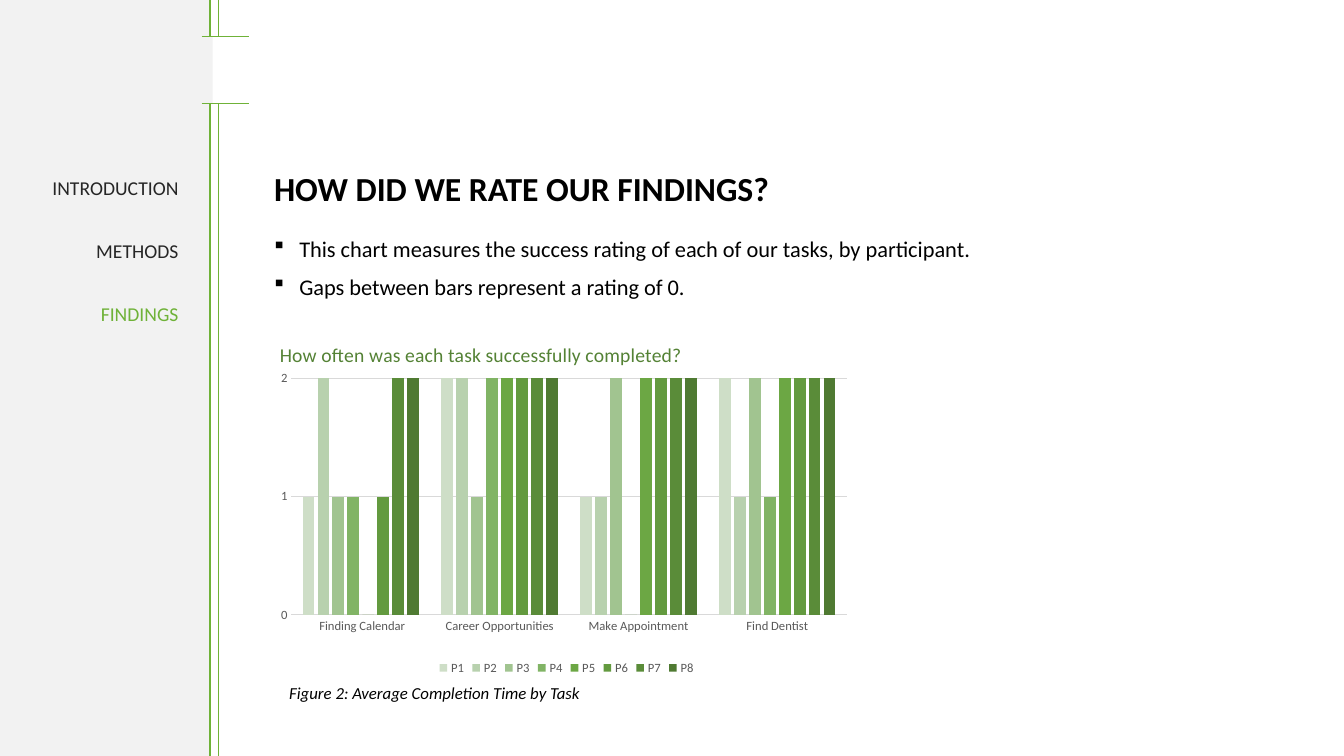
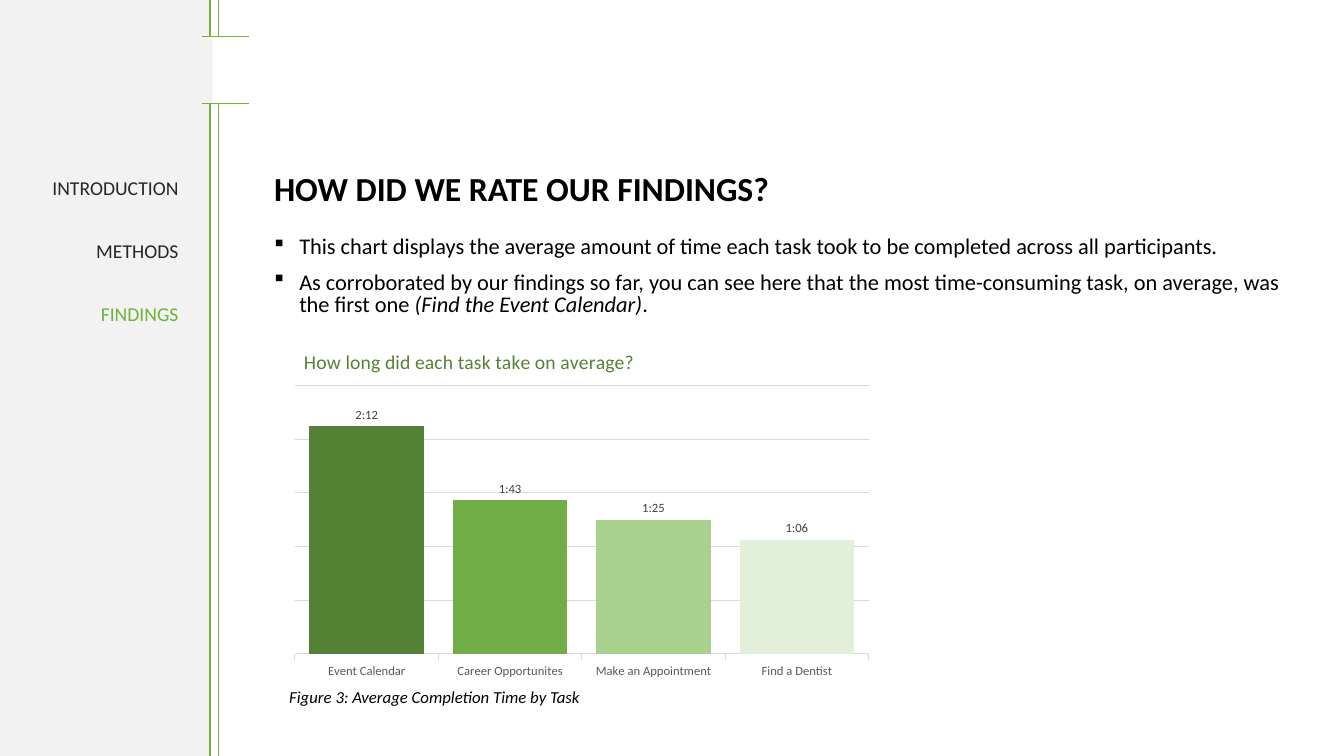
from pptx import Presentation
from pptx.chart.data import CategoryChartData
from pptx.dml.color import RGBColor
from pptx.enum.chart import XL_CHART_TYPE as ChartType, XL_LABEL_POSITION as LabelPosition
from pptx.enum.chart import XL_LEGEND_POSITION as LegendPosition, XL_TICK_MARK as TickMark
from pptx.enum.chart import XL_TICK_LABEL_POSITION as TickLabels
from pptx.enum.shapes import MSO_CONNECTOR as Connector, MSO_SHAPE as Shape
from pptx.enum.text import MSO_ANCHOR as Anchor, PP_ALIGN as Align
from pptx.oxml import parse_xml
from pptx.oxml.ns import nsdecls, qn
from pptx.util import Inches, Pt

FONT = "Calibri"
BLACK = RGBColor(0x00, 0x00, 0x00)
NAV_TEXT = RGBColor(0x26, 0x26, 0x26)
LABEL_TEXT = RGBColor(0x40, 0x40, 0x40)
AXIS_TEXT = RGBColor(0x59, 0x59, 0x59)
GRID = RGBColor(0xD9, 0xD9, 0xD9)
SIDEBAR = RGBColor(0xF2, 0xF2, 0xF2)
ACCENT = RGBColor(0x6F, 0xB2, 0x38)
CHART_TITLE = RGBColor(0x54, 0x82, 0x35)
BAR_GREEN = RGBColor(0x70, 0xAD, 0x47)
PARTICIPANT_GREENS = [RGBColor.from_string(code) for code in (
    "CEDEC7", "B8D1AE", "A1C490", "81B465", "6CA744", "639A3F", "5A8C39", "4F7A32")]
TASK_GREENS = [CHART_TITLE, BAR_GREEN, RGBColor(0xA9, 0xD1, 0x8E), RGBColor(0xE2, 0xF0, 0xD9)]

SLIDE_HEIGHT = 7.5
NOTCH_TOP, NOTCH_BOTTOM = 0.36, 1.03
TITLE_BOX = (2.62, 1.48, 7.37, 0.83)
BODY_BOX = (2.62, 2.31, 10.4, 0.92)
CHART_BOX = (2.62, 3.24, 6, 3.5)
NAV_BOX = (0.13, 1.72, 1.74, 3.94)
SECTIONS = ["INTRODUCTION", "METHODS", "FINDINGS"]
HEADING = "HOW DID WE RATE OUR FINDINGS?"


def inches(box):
    return [Inches(value) for value in box]


def style_font(font, size, color, bold=False, italic=False):
    font.name = FONT
    font.size = Pt(size)
    font.color.rgb = color
    font.bold = bold
    font.italic = italic


def add_text(slide, box, paragraphs, size, color, spacing=0.9, before=0, bold=False, italic=False):
    text_frame = slide.shapes.add_textbox(*inches(box)).text_frame
    text_frame.word_wrap = True
    text_frame.text = "\n".join(paragraphs)
    for paragraph in text_frame.paragraphs:
        paragraph.line_spacing = spacing
        paragraph.space_before = Pt(before)
        for run in paragraph.runs:
            style_font(run.font, size, color, bold, italic)
    return text_frame


def add_bar(slide, box):
    shape = slide.shapes.add_shape(Shape.RECTANGLE, *inches(box))
    shape.shadow.inherit = False
    shape.fill.solid()
    shape.fill.fore_color.rgb = SIDEBAR
    shape.line.fill.background()


def add_rule(slide, ends, width):
    rule = slide.shapes.add_connector(Connector.STRAIGHT, *inches(ends))
    rule.line.color.rgb = ACCENT
    rule.line.width = Pt(width)
    rule.element.spPr.append(parse_xml(f"<a:effectLst {nsdecls('a')}/>"))


def add_sidebar(slide, current):
    add_bar(slide, (0, 0, 2.09, SLIDE_HEIGHT))
    add_rule(slide, (2.08, 0, 2.08, SLIDE_HEIGHT), 1.5)
    add_bar(slide, (1.76, NOTCH_TOP, 0.35, NOTCH_BOTTOM - NOTCH_TOP))
    for top, bottom in ((0, NOTCH_TOP), (NOTCH_BOTTOM, SLIDE_HEIGHT)):
        add_rule(slide, (2.16, top, 2.16, bottom), 0.25)
    for y in (NOTCH_TOP, NOTCH_BOTTOM):
        add_rule(slide, (2, y, 2.47, y), 0.5)
    navigation = add_text(slide, NAV_BOX, SECTIONS, 14, NAV_TEXT, before=30)
    for paragraph in navigation.paragraphs:
        paragraph.alignment = Align.RIGHT
        if paragraph.text == current:
            paragraph.runs[0].font.color.rgb = ACCENT


def add_bullets(slide, box, lines, spacing):
    text_frame = add_text(slide, box, lines, 16, BLACK, spacing, before=10)
    for paragraph in text_frame.paragraphs:
        properties = paragraph._p.get_or_add_pPr()
        properties.set("marL", str(Inches(0.25)))
        properties.set("indent", str(-Inches(0.25)))
        properties.append(parse_xml(
            f'<a:buFont {nsdecls("a")} typeface="Wingdings" pitchFamily="2" charset="2"/>'))
        properties.append(parse_xml(f'<a:buChar {nsdecls("a")} char="§"/>'))
    return text_frame


def add_findings_slide(presentation, bullets, spacing, caption, caption_top):
    slide = presentation.slides.add_slide(presentation.slide_layouts[6])
    add_sidebar(slide, "FINDINGS")
    title = add_text(slide, TITLE_BOX, [HEADING], 24, BLACK, bold=True)
    title.vertical_anchor = Anchor.MIDDLE
    body = add_bullets(slide, BODY_BOX, bullets, spacing)
    add_text(slide, (2.77, caption_top, 5.94, 0.32), [caption], 12, BLACK, before=10, italic=True)
    return slide, body


def set_layout(parent, index, target, **places):
    for layout in parent.findall(qn("c:layout")):
        parent.remove(layout)
    inner = f'<c:layoutTarget val="{target}"/>' if target else ""
    modes = "".join(f'<c:{axis}Mode val="edge"/>' for axis in "xy")
    values = "".join(f'<c:{name} val="{value}"/>' for name, value in places.items())
    parent.insert(index, parse_xml(
        f"<c:layout {nsdecls('c')}><c:manualLayout>{inner}{modes}{values}</c:manualLayout></c:layout>"))


def add_column_chart(slide, box, categories, series, title, title_at, plot_box, gap, top, step):
    data = CategoryChartData()
    data.categories = categories
    for name, values in series:
        data.add_series(name, values)
    chart = slide.shapes.add_chart(ChartType.COLUMN_CLUSTERED, *inches(box), data).chart
    style_font(chart.font, 10, BLACK)
    chart.has_legend = False
    chart.has_title = True
    chart.chart_title.text_frame.text = title
    style_font(chart.chart_title.text_frame.paragraphs[0].runs[0].font, 14, CHART_TITLE)
    set_layout(chart.chart_title.element, 1, None, **dict(zip("xy", title_at)))
    plot_area = chart.element.find(qn("c:chart")).find(qn("c:plotArea"))
    set_layout(plot_area, 0, "inner", **dict(zip("xywh", plot_box)))

    plot = chart.plots[0]
    plot.vary_by_categories = False
    plot.gap_width = gap
    plot.overlap = -27
    for axis in (chart.category_axis, chart.value_axis):
        axis.major_tick_mark = axis.minor_tick_mark = TickMark.NONE
        axis.tick_label_position = TickLabels.NEXT_TO_AXIS
        style_font(axis.tick_labels.font, 9, AXIS_TEXT)
    chart.category_axis.format.line.color.rgb = GRID
    chart.category_axis.format.line.width = Pt(0.75)
    value_axis = chart.value_axis
    value_axis.minimum_scale, value_axis.maximum_scale, value_axis.major_unit = 0, top, step
    value_axis.format.line.fill.background()
    value_axis.major_gridlines.format.line.color.rgb = GRID
    value_axis.major_gridlines.format.line.width = Pt(0.75)
    return chart


def fill_solid(item, color):
    item.format.fill.solid()
    item.format.fill.fore_color.rgb = color


def add_success_slide(presentation):
    slide, _ = add_findings_slide(
        presentation,
        ["This chart measures the success rating of each of our tasks, by participant.",
         "Gaps between bars represent a rating of 0."],
        0.9, "Figure 2: Average Completion Time by Task", 6.75)
    ratings = [(1, 2, 1, 2), (2, 2, 1, 1), (1, 1, 2, 2), (1, 2, 0, 1),
               (0, 2, 2, 2), (1, 2, 2, 2), (2, 2, 2, 2), (2, 2, 2, 2)]
    chart = add_column_chart(
        slide, CHART_BOX,
        [" Finding Calendar", "Career Opportunities", "Make Appointment", "Find Dentist"],
        [(f"P{number}", values) for number, values in enumerate(ratings, 1)],
        "How often was each task successfully completed?",
        (0.02, 0.03), (0.045, 0.147, 0.918, 0.67), 191, 2, 1)
    for series, color in zip(chart.plots[0].series, PARTICIPANT_GREENS):
        fill_solid(series, color)
    chart.has_legend = True
    chart.legend.position = LegendPosition.BOTTOM
    chart.legend.include_in_layout = False
    style_font(chart.legend.font, 9, AXIS_TEXT)


def add_duration_slide(presentation):
    example = "(Find the Event Calendar)"
    slide, body = add_findings_slide(
        presentation,
        ["This chart displays the average amount of time each task took to be completed "
         "across all participants.",
         "As corroborated by our findings so far, you can see here that the most "
         "time-consuming task, on average, was the first one "],
        0.8, "Figure 3: Average Completion Time by Task", 6.79)
    for text, italic in ((example, True), (".", False)):
        run = body.paragraphs[1].add_run()
        run.text = text
        style_font(run.font, 16, BLACK, italic=italic)
    chart = add_column_chart(
        slide, CHART_BOX,
        ["Event Calendar", "Career Opportunites", "Make an Appointment", "Find a Dentist"],
        [("Series 1", (2.12, 1.43, 1.25, 1.06))],
        "How long did each task take on average?",
        (0.06, 0.05), (0.051, 0.167, 0.949, 0.761), 25, 2.5, 0.5)
    chart.category_axis.major_tick_mark = TickMark.OUTSIDE
    chart.value_axis.visible = False
    series = chart.plots[0].series[0]
    fill_solid(series, BAR_GREEN)
    labels = series.data_labels
    labels.show_value = True
    labels.number_format = "mm:ss"
    labels.number_format_is_linked = False
    labels.position = LabelPosition.OUTSIDE_END
    style_font(labels.font, 9, LABEL_TEXT)
    for index, (color, time) in enumerate(zip(TASK_GREENS, ("2:12", "1:43", "1:25", "1:06"))):
        point = series.points[index]
        fill_solid(point, color)
        label = point.data_label
        label.text_frame.text = time
        label.position = LabelPosition.OUTSIDE_END
        style_font(label.text_frame.paragraphs[0].runs[0].font, 9, LABEL_TEXT)


def main():
    presentation = Presentation()
    presentation.slide_width = Inches(13.33)
    presentation.slide_height = Inches(SLIDE_HEIGHT)
    add_success_slide(presentation)
    add_duration_slide(presentation)
    presentation.save("out.pptx")


if __name__ == "__main__":
    main()
